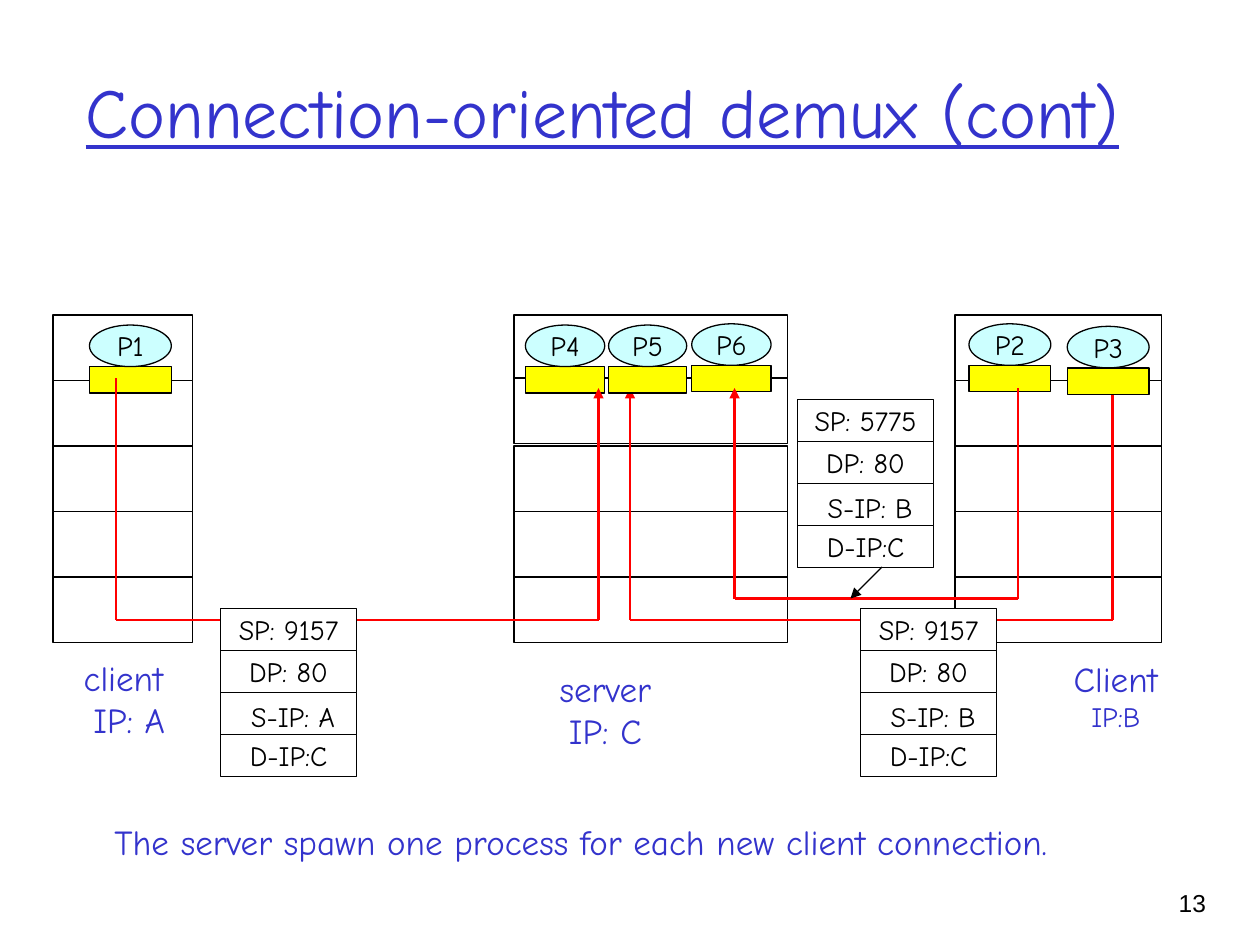
from lxml import etree
from pptx import Presentation
from pptx.dml.color import RGBColor
from pptx.enum.shapes import MSO_CONNECTOR, MSO_SHAPE
from pptx.enum.text import MSO_ANCHOR, PP_ALIGN
from pptx.oxml.ns import qn
from pptx.util import Inches, Pt

# Content
TITLE = "Connection-oriented demux (cont)"
SUMMARY = "The server spawn one process for each new client connection."
COMIC, BLUE, BLACK, RED = "Comic Neue", "3333CC", "000000", "FF0000"
WHITE, YELLOW, CYAN = "FFFFFF", "FFFF00", "CCFFFF"

LAYER_TOPS = [2.5, 3.02, 3.54, 4.06, 4.58]
SERVER_TOPS = [2.5, 3.0, 3.54, 4.06, 4.58]
HOSTS = [  # left, width, layer tops
    (0.42, 1.11, LAYER_TOPS),
    (7.58, 1.64, LAYER_TOPS),
    (4.08, 2.17, SERVER_TOPS),
]
HOST_LABELS = [  # box, lines with sizes
    ((0.55, 5.16, 0.86, 0.77), [("client", 20), (" IP: A", 20)]),
    ((4.34, 5.25, 0.93, 0.77), [("server", 20), ("IP: C", 20)]),
    ((8.42, 5.17, 0.87, 0.7), [("Client", 20), ("IP:B", 16)]),
]
PROCESSES = [  # name, left, top, width
    ("P1", 0.71, 2.58, 0.65),
    ("P2", 7.69, 2.57, 0.65),
    ("P4", 4.17, 2.58, 0.63),
    ("P5", 4.83, 2.58, 0.62),
    ("P6", 5.49, 2.57, 0.63),
    ("P3", 8.47, 2.59, 0.65),
]
# Client x, client top, server x, y of the horizontal run
BACK_CONNECTION = (8.83, 3.0, 5.0, 4.92)
FRONT_CONNECTIONS = [(0.92, 3.0, 4.75, 4.92), (8.08, 3.08, 5.83, 4.75)]
ARROW_TIP = 3.08
SEGMENTS = [  # left, top, header fields
    (1.75, 4.83, ["SP: 9157", "DP: 80", "S-IP: A", "D-IP:C"]),
    (6.83, 4.83, ["SP: 9157", "DP: 80", "S-IP: B", "D-IP:C"]),
    (6.33, 3.17, ["SP: 5775", "DP: 80", "S-IP: B", "D-IP:C"]),
]

prs = Presentation()
prs.slide_width, prs.slide_height = Inches(10), Inches(7.5)
slide = prs.slides.add_slide(prs.slide_layouts[5])
shapes = slide.shapes


def rgb(color):
    return RGBColor.from_string(color)


def write(frame, lines, color, font=COMIC, align=PP_ALIGN.CENTER, wrap=False):
    frame.word_wrap = wrap
    for i, (words, size) in enumerate(lines):
        para = frame.paragraphs[0] if i == 0 else frame.add_paragraph()
        para.alignment = align
        run = para.add_run()
        run.text = words
        run.font.name, run.font.size = font, Pt(size)
        run.font.color.rgb = rgb(color)
    return frame


def add_label(box, lines, color=BLUE, **style):
    frame = shapes.add_textbox(*map(Inches, box)).text_frame
    write(frame, lines, color, **style)


def add_block(kind, box, fill, words=None):
    block = shapes.add_shape(kind, *map(Inches, box))
    block.shadow.inherit = False
    block.fill.solid()
    block.fill.fore_color.rgb = rgb(fill)
    block.line.color.rgb = rgb(BLACK)
    block.line.width = Pt(0.75)
    if words:
        frame = write(block.text_frame, [(words, 16)], BLACK)
        frame.vertical_anchor = MSO_ANCHOR.MIDDLE
    return block


def add_line(start, end, color, width, arrow=False):
    line = shapes.add_connector(MSO_CONNECTOR.STRAIGHT, *map(Inches, start + end))
    line.line.color.rgb = rgb(color)
    line.line.width = Pt(width)
    if arrow:
        etree.SubElement(line.line._get_or_add_ln(), qn("a:tailEnd"), type="triangle")
    etree.SubElement(line._element.spPr, qn("a:effectLst"))


def add_connection(client_x, client_top, server_x, run_y):
    add_line((client_x, client_top), (client_x, run_y), RED, 1.5)
    add_line((client_x, run_y), (server_x, run_y), RED, 1.5)
    add_line((server_x, run_y), (server_x, ARROW_TIP), RED, 1.5, arrow=True)


# Title
title = shapes.title
title.left, title.top, title.width, title.height = map(Inches, (0.58, 0.25, 8.5, 1.25))
title_frame = write(title.text_frame, [(TITLE, 40)], BLUE, align=PP_ALIGN.LEFT, wrap=True)
title_frame.vertical_anchor = MSO_ANCHOR.MIDDLE
title_frame.paragraphs[0].runs[0].font.underline = True

# Protocol stacks and their labels
for left, width, tops in HOSTS:
    for top in tops:
        add_block(MSO_SHAPE.RECTANGLE, (left, top, width, 0.52), WHITE)
for box, lines in HOST_LABELS:
    add_label(box, lines)

# Processes on their sockets, between the back and front connections
add_connection(*BACK_CONNECTION)
for name, left, top, width in PROCESSES:
    add_block(MSO_SHAPE.RECTANGLE, (left, top + 0.33, width, 0.21), YELLOW)
    add_block(MSO_SHAPE.OVAL, (left, top, width, 0.33), CYAN, name)
for connection in FRONT_CONNECTIONS:
    add_connection(*connection)

# Segment headers; source addresses sit slightly right and low
for left, top, fields in SEGMENTS:
    for i, field in enumerate(fields):
        cell = add_block(MSO_SHAPE.RECTANGLE, (left, top + i / 3, 1.08, 1 / 3), WHITE, field)
        if field.startswith("S-IP"):
            cell.text_frame.margin_left = Inches(0.17)
            cell.text_frame.margin_top = Inches(0.09)
add_line((7, 4.5), (6.75, 4.75), BLACK, 0.75, arrow=True)

# Summary and page number
add_label((0.81, 6.46, 7.62, 0.44), [(SUMMARY, 20)], align=PP_ALIGN.LEFT)
add_label((8.93, 7, 0.74, 0.5), [("13", 14)], BLACK, font="Arial",
          align=PP_ALIGN.RIGHT, wrap=True)

prs.save("out.pptx")
